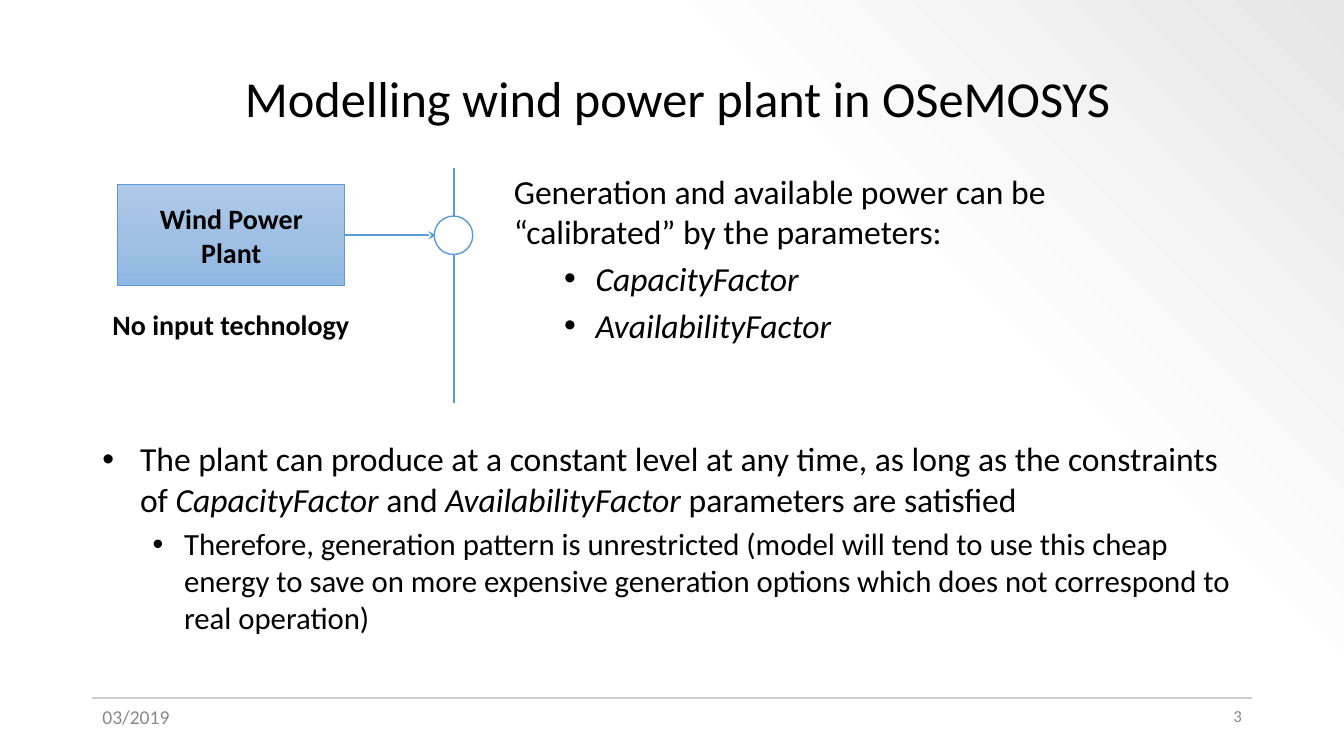
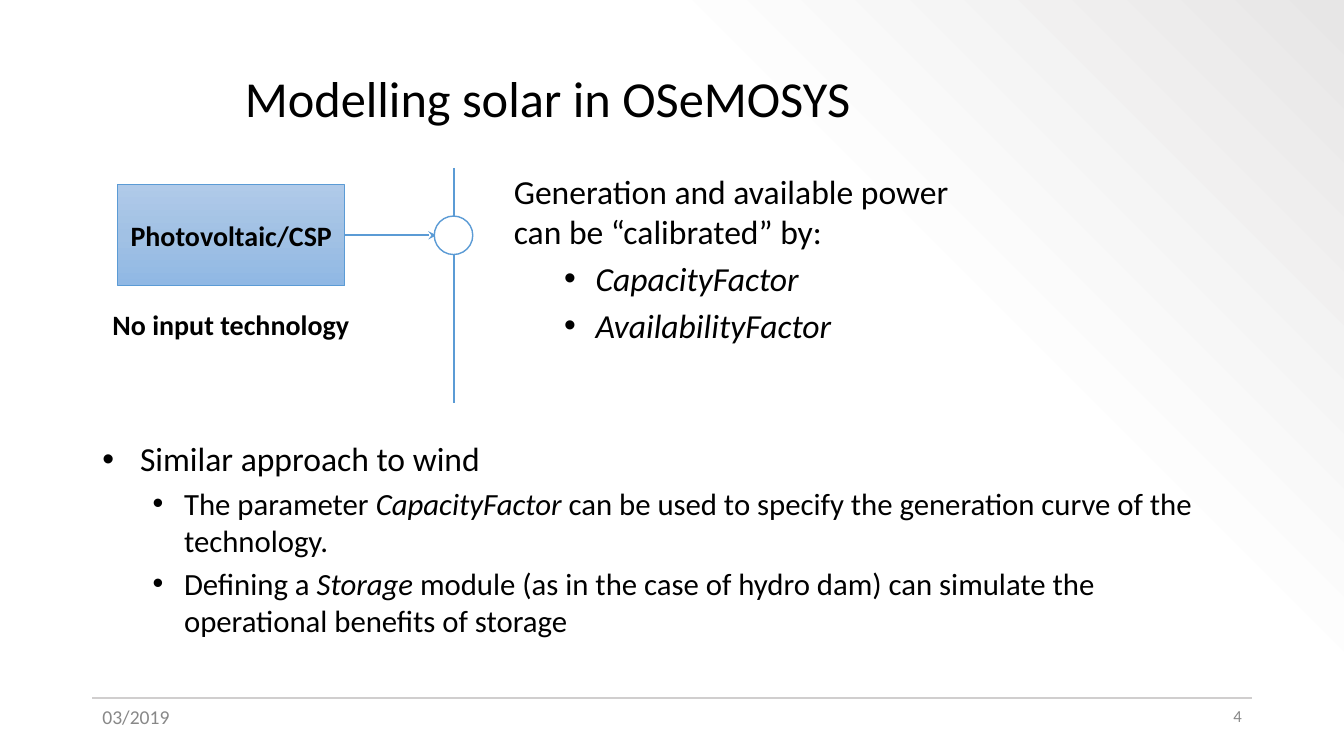
"""Build two slides on modelling wind and solar plants in OSeMOSYS."""
from dataclasses import dataclass

from lxml import etree
from pptx import Presentation
from pptx.dml.color import RGBColor
from pptx.enum.shapes import MSO_CONNECTOR, MSO_SHAPE
from pptx.enum.text import MSO_ANCHOR, MSO_AUTO_SIZE, PP_ALIGN
from pptx.oxml.ns import qn
from pptx.util import Cm, Pt

STRAIGHT = MSO_CONNECTOR.STRAIGHT
RECT, OVAL = MSO_SHAPE.RECTANGLE, MSO_SHAPE.OVAL
TOP, MIDDLE = MSO_ANCHOR.TOP, MSO_ANCHOR.MIDDLE
LEFT, CENTER, RIGHT = PP_ALIGN.LEFT, PP_ALIGN.CENTER, PP_ALIGN.RIGHT
GROW = MSO_AUTO_SIZE.SHAPE_TO_FIT_TEXT
RIGHT_SIDE = 3


@dataclass(frozen=True)
class Theme:
    """Colours, font, type sizes and shared measures in centimetres."""
    font: str = "Calibri"
    text: str = "000000"
    muted: str = "888888"
    rule: str = "D0CECE"
    accent: str = "5B9BD5"
    white: str = "FFFFFF"
    page: tuple = ((0, "FFFFFF", 100), (69, "FDFDFD", 100), (100, "E7E6E6", 50))
    plant: tuple = ((0, "B0CAE9", 100), (50, "A1C1E4", 100), (100, "90B8E4", 100))
    title_size: float = 36
    body_size: float = 24
    detail_size: float = 22
    label_size: float = 20
    date_size: float = 14
    number_size: float = 12
    left: float = 2.33
    right: float = 31.55
    footer_top: float = 17.65


T = Theme()

PLAIN = {"size": T.body_size}
POINT = {"size": T.body_size, "indent": (0.95, 0.95)}
PARAMETER = {"size": T.body_size, "indent": (2.06, 0.79), "before": 4.8}
DETAIL = {"size": T.detail_size, "indent": (2.06, 0.79), "before": 4.4}
LABEL = {"size": T.label_size, "bold": True, "align": CENTER}

SLIDES = [
    {
        "number": 3,
        "title": "Modelling wind power plant in OSeMOSYS",
        "plant": "Wind Power Plant",
        "intro": "Generation and available power can be “calibrated” by the parameters:",
        "intro_width": 17.68,
        "body": [
            ("The plant can produce at a constant level at any time, as long as "
             "the constraints of *CapacityFactor* and *AvailabilityFactor *"
             "parameters are satisfied", POINT),
            ("Therefore, generation pattern is unrestricted (model will tend to "
             "use this cheap energy to save on more expensive generation options "
             "which does not correspond to real operation)", DETAIL),
        ],
    },
    {
        "number": 4,
        "title": "Modelling solar in OSeMOSYS",
        "plant": "Photovoltaic/CSP",
        "intro": "Generation and available power can be “calibrated” by:",
        "intro_width": 11.86,
        "body": [
            ("Similar approach to wind", POINT),
            ("The parameter *CapacityFactor* can be used to specify the "
             "generation curve of the technology.", DETAIL),
            ("Defining a *Storage* module (as in the case of hydro dam) can "
             "simulate the operational benefits of storage", DETAIL),
        ],
    },
]


def rgb(value):
    """Return the colour for a hex string."""
    return RGBColor.from_string(value)


def apply(obj, values):
    """Set each named attribute on an object."""
    for name, value in values.items():
        setattr(obj, name, value)


def set_gradient(fill, element, stops, angle):
    """Give a fill the listed (percent, colour, opacity) stops."""
    fill.gradient()
    fill.gradient_angle = angle
    stop_list = element.find(".//" + qn("a:gsLst"))
    for old in list(stop_list):
        stop_list.remove(old)
    for position, color, opacity in stops:
        gs = etree.SubElement(stop_list, qn("a:gs"), pos=str(position * 1000))
        clr = etree.SubElement(gs, qn("a:srgbClr"), val=color)
        if opacity < 100:
            etree.SubElement(clr, qn("a:alpha"), val=str(opacity * 1000))


def set_bullet(p, margin, hanging):
    """Give a paragraph a round bullet with a hanging indent."""
    pPr = p._p.get_or_add_pPr()
    pPr.set("marL", str(Cm(margin)))
    pPr.set("indent", str(-Cm(hanging)))
    clr = etree.SubElement(pPr, qn("a:buClr"))
    etree.SubElement(clr, qn("a:srgbClr"), val=T.text)
    etree.SubElement(pPr, qn("a:buFont"), typeface="Arial")
    etree.SubElement(pPr, qn("a:buChar"), char="•")


def write_paragraph(p, text, size, color=T.text, bold=False, align=LEFT,
                    indent=None, before=0, spacing=1.0):
    """Write one paragraph, with text between asterisks in italics."""
    apply(p, {"alignment": align, "space_before": Pt(before), "line_spacing": spacing})
    if indent:
        set_bullet(p, *indent)
    for i, part in enumerate(text.split("*")):
        if part:
            r = p.add_run()
            r.text = part
            apply(r.font, {"name": T.font, "size": Pt(size), "bold": bold,
                           "italic": i % 2 == 1})
            r.font.color.rgb = rgb(color)


def write_text(sp, paragraphs, anchor=TOP):
    """Fill a shape with (text, format) paragraphs."""
    tf = sp.text_frame
    apply(tf, {"word_wrap": True, "vertical_anchor": anchor})
    for i, (text, style) in enumerate(paragraphs):
        p = tf.add_paragraph() if i else tf.paragraphs[0]
        write_paragraph(p, text, **style)


def add_text(shapes, box, paragraphs, anchor=TOP):
    """Add a text box at (left, top, width, height)."""
    sp = shapes.add_textbox(*map(Cm, box))
    write_text(sp, paragraphs, anchor)
    return sp


def add_line(shapes, start, end, color, arrow=False):
    """Add a straight line, with a stealth head when it is an arrow."""
    line = shapes.add_connector(STRAIGHT, *map(Cm, start + end))
    line.line.color.rgb = rgb(color)
    line.line.width = Pt(1.5)
    if arrow:
        etree.SubElement(line.line._get_or_add_ln(), qn("a:tailEnd"), type="stealth")
    etree.SubElement(line._element.spPr, qn("a:effectLst"))
    return line


def add_outlined(shapes, kind, box, width):
    """Add a shape without shadow and with an accent outline."""
    sp = shapes.add_shape(kind, *map(Cm, box))
    sp.shadow.inherit = False
    sp.line.color.rgb = rgb(T.accent)
    sp.line.width = Pt(width)
    return sp


def add_diagram(slide, plant):
    """Draw the plant feeding a node on the vertical energy line."""
    shapes = slide.shapes.add_group_shape().shapes
    x, y, node = 11.43, 5.93, 0.97
    left, width, height = 2.97, 5.72, 2.54
    sp = add_outlined(shapes, RECT, (left, y - height / 2, width, height), 0.75)
    set_gradient(sp.fill, sp.element, T.plant, 270)
    write_text(sp, [(plant, LABEL)], MIDDLE)
    add_line(shapes, (x, 4.23), (x, 10.16), T.accent)
    arrow = add_line(shapes, (left + width, y), (11, y), T.accent, arrow=True)
    arrow.begin_connect(sp, RIGHT_SIDE)
    circle = add_outlined(shapes, OVAL, (x - node / 2, y - node / 2, node, node), 1)
    circle.fill.solid()
    circle.fill.fore_color.rgb = rgb(T.white)
    caption = add_text(shapes, (1.91, 7.62, 7.82, 1.12), [("No input technology", LABEL)])
    caption.text_frame.auto_size = GROW


def add_frame(slide, title, number):
    """Add the background, title and footer that all slides share."""
    set_gradient(slide.background.fill, slide.element, T.page, 45)
    shapes = slide.shapes
    add_text(shapes, (5.92, 1.02, 25.6, 3.05),
             [(title, {"size": T.title_size, "spacing": 0.9})], MIDDLE)
    add_line(shapes, (T.left, 17.58), (T.right, 17.58), T.rule)
    width, height = 3.3, 1.02
    for left, text, size, align in (
            (T.left, "03/2019", T.date_size, LEFT),
            (T.right - width, str(number), T.number_size, RIGHT)):
        add_text(shapes, (left, T.footer_top, width, height),
                 [(text, {"size": size, "color": T.muted, "align": align})])


def add_plant_slide(prs, content):
    """Add one slide from its content."""
    slide = prs.slides.add_slide(prs.slide_layouts[6])
    add_frame(slide, content["title"], content["number"])
    add_diagram(slide, content["plant"])
    parameters = [(f"*{name}*", PARAMETER) for name in ("CapacityFactor", "AvailabilityFactor")]
    add_text(slide.shapes, (12.7, 4.17, content["intro_width"], 6),
             [(content["intro"], PLAIN)] + parameters)
    add_text(slide.shapes, (T.left, 10.92, 29.06, 6), content["body"])


def main():
    """Build and save the presentation."""
    prs = Presentation()
    apply(prs, {"slide_width": Cm(33.87), "slide_height": Cm(19.05)})
    for content in SLIDES:
        add_plant_slide(prs, content)
    prs.save("out.pptx")


if __name__ == "__main__":
    main()
